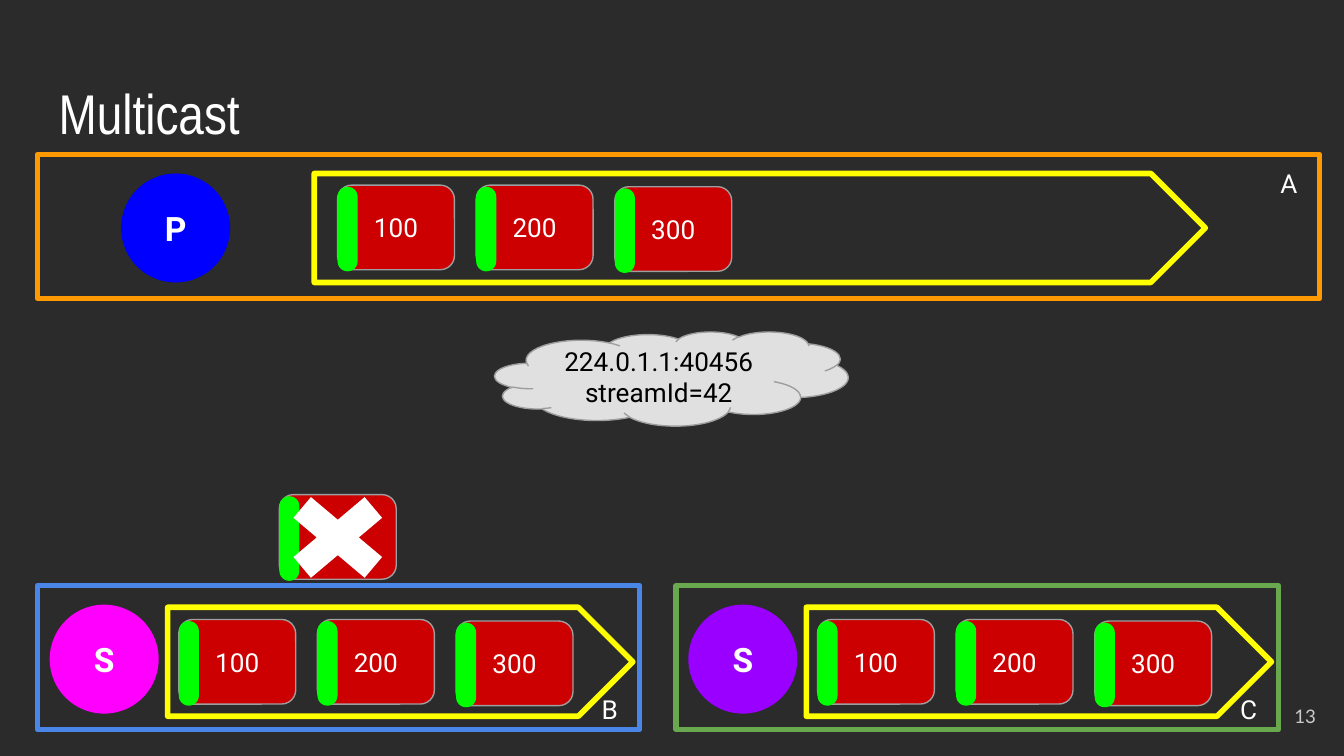
from pptx import Presentation
from pptx.dml.color import RGBColor
from pptx.enum.shapes import MSO_SHAPE as Kind
from pptx.enum.text import MSO_ANCHOR as Anchor, PP_ALIGN as Align
from pptx.util import Cm, Pt

WHITE, GREY, YELLOW = "FFFFFF", "9E9E9E", "FFFF00"
RED, GREEN = "CC0000", "00FF00"
PACK_W, PACK_H, PITCH = 2.21, 1.6, 2.62
DISC = 2.06


def paint(hue):
    """Turn a hex string into a colour."""
    return RGBColor.from_string(hue)


def write(shape, lines, size=14, font="Roboto", hue=WHITE, bold=False,
          align=Align.CENTER, anchor=Anchor.MIDDLE):
    """Write lines of text into a shape, one run for each."""
    frame = shape.text_frame
    frame.word_wrap = True
    frame.vertical_anchor = anchor
    frame.margin_left = frame.margin_right = Cm(0.25)
    frame.margin_top = frame.margin_bottom = Cm(0.25)
    for i, line in enumerate(lines):
        para = frame.add_paragraph() if i else frame.paragraphs[0]
        para.alignment = align
        run = para.add_run()
        run.text = line
        run.font.size = Pt(size)
        run.font.name = font
        run.font.bold = bold
        run.font.color.rgb = paint(hue)


def draw(slide, kind, box, fill=None, line=None, width=0.75, adj=None):
    """Draw a flat preset shape in a box."""
    shape = slide.shapes.add_shape(kind, *map(Cm, box))
    shape.shadow.inherit = False
    if fill:
        shape.fill.solid()
        shape.fill.fore_color.rgb = paint(fill)
    else:
        shape.fill.background()
    if line:
        shape.line.color.rgb = paint(line)
        shape.line.width = Pt(width)
    else:
        shape.line.fill.background()
    if adj is not None:
        shape.adjustments[0] = adj
    return shape


def label(slide, box, text, align=Align.LEFT, anchor=Anchor.TOP, **style):
    """Place a text box."""
    write(slide.shapes.add_textbox(*map(Cm, box)), [text],
          align=align, anchor=anchor, **style)


def packet(slide, x, y, text):
    """Place a red packet with its green header."""
    body = draw(slide, Kind.ROUNDED_RECTANGLE, (x, y, PACK_W, PACK_H),
                RED, GREY, adj=0.167)
    write(body, [text])
    draw(slide, Kind.ROUNDED_RECTANGLE, (x, y + 0.03, 0.38, PACK_H),
         GREEN, adj=0.5)


def node(slide, box, edge, role, hue, disc_x, stream, first, name, spot):
    """Place a host with its role, its stream of packets and its name."""
    x, y, _, _ = box
    draw(slide, Kind.FLOWCHART_PROCESS, box, line=edge, width=3)
    dx, dy, wide = stream
    draw(slide, Kind.PENTAGON, (x + dx, y + dy, wide, DISC),
         line=YELLOW, width=3, adj=0.5)
    px, py = first
    for i, text in enumerate(("100", "200", "300")):
        drop = 0.03 if i == 2 else 0
        packet(slide, x + px + i * PITCH, y + py + drop, text)
    disc = draw(slide, Kind.OVAL, (x + disc_x, y + 0.36, DISC, DISC), hue)
    write(disc, [role], size=18, bold=True)
    lx, ly = spot
    label(slide, (x + lx, y + ly, 0.99, 0.8), name)


def cloud(slide, box):
    """Place the multicast address."""
    shape = draw(slide, Kind.CLOUD, box, "E0E0E0", GREY)
    write(shape, ["224.0.1.1:40456", "streamId=42"], hue="000000")


def lost(slide, x, y):
    """Place a crossed-out packet."""
    packet(slide, x, y, "200")
    draw(slide, Kind.MATH_MULTIPLY, (x - 0.19, y - 0.28, 2.59, 2.18),
         WHITE, adj=0.235)


def main():
    """Build and save the slide."""
    deck = Presentation()
    deck.slide_width, deck.slide_height = Cm(25.4), Cm(14.29)
    slide = deck.slides.add_slide(deck.slide_layouts[6])
    slide.background.fill.solid()
    slide.background.fill.fore_color.rgb = paint("2B2B2B")

    label(slide, (0.86, 1.24, 23.67, 1.6), "Multicast",
          size=30, font="Arial Narrow")
    node(slide, (0.71, 2.92, 24.23, 2.72), "FF9900", "P", "0000FF", 1.58,
         (5.23, 0.36, 16.84), (5.67, 0.58), "A", (23.24, 0))
    for x, edge, hue, name in ((0.71, "4A86E8", "FF00FF", "B"),
                               (12.78, "6AA84F", "9900FF", "C")):
        node(slide, (x, 11.07, 11.38, 2.72), edge, "S", hue, 0.23,
             (2.46, 0.41, 8.79), (2.67, 0.64), name, (10.41, 1.78))
    cloud(slide, (9.35, 6.27, 6.68, 1.78))
    lost(slide, 5.28, 9.35)
    label(slide, (23.6, 13, 1.52, 1.09), "13", align=Align.RIGHT,
          anchor=Anchor.MIDDLE, size=10, font="Lato", hue="CACACA")
    deck.save("out.pptx")


if __name__ == "__main__":
    main()
